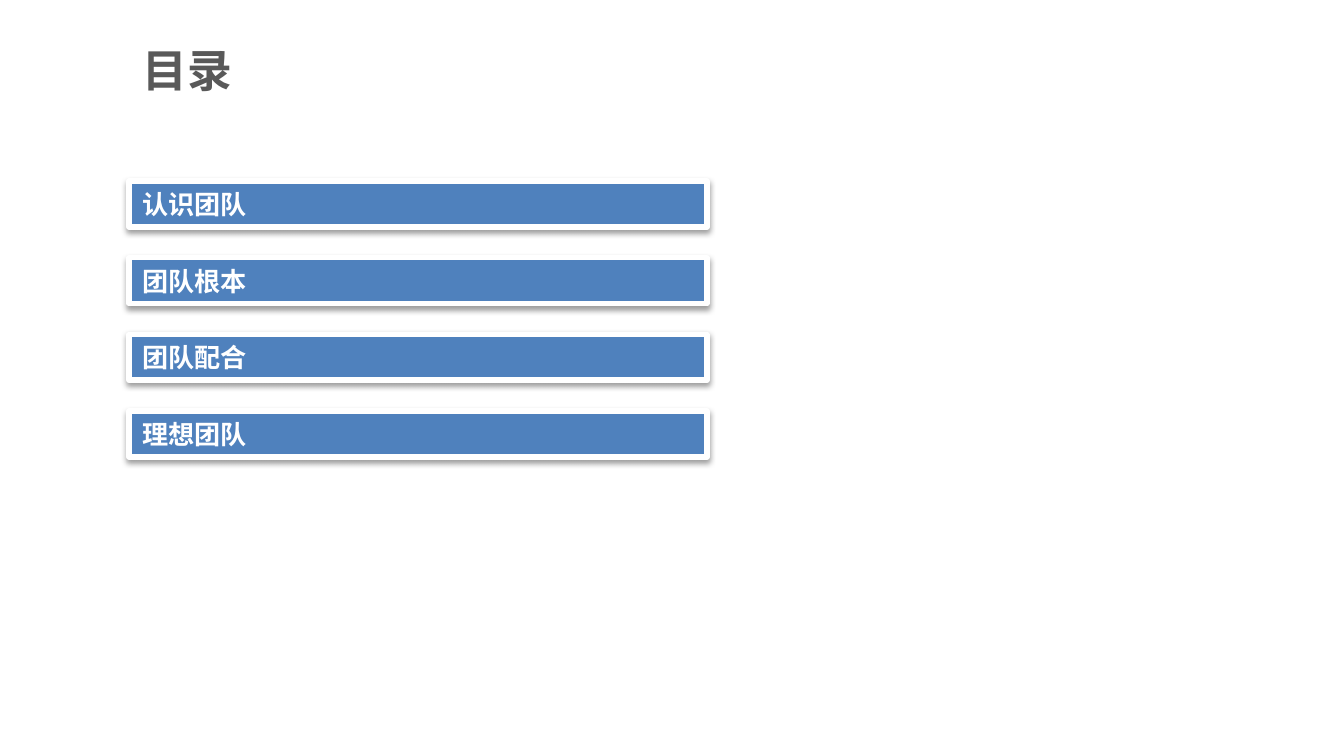
from dataclasses import dataclass

from lxml import etree
from pptx import Presentation
from pptx import util as u
from pptx.dml.color import RGBColor
from pptx.enum import shapes, text
from pptx.oxml.ns import qn

# Content
TITLE = "目录"
CHAPTERS = ["认识团队", "团队根本", "团队配合", "理想团队"]


@dataclass(frozen=True)
class Theme:
    font: str = "Noto Sans CJK SC"
    title_color: str = "595959"
    bar_fill: str = "4F81BD"
    white: str = "FFFFFF"
    shadow: str = "000000"
    title_size: int = 24
    bar_size: int = 14
    border: int = 3


THEME = Theme()

# Layout in px
EMU_PER_PX = u.Inches(1) / 134.4
SLIDE_WIDTH, SLIDE_HEIGHT = 1344, 756
LEFT, WIDTH = 129, 578
TITLE_TOP, TITLE_HEIGHT = 36, 67
FIRST_BAR, LAST_BAR, BAR_HEIGHT = 181, 411, 46


def px(length):
    return u.Emu(round(length * EMU_PER_PX))


def write(shape, words, size, color):
    frame = shape.text_frame
    frame.word_wrap = True
    frame.auto_size = text.MSO_AUTO_SIZE.NONE
    frame.vertical_anchor = text.MSO_ANCHOR.MIDDLE
    paragraph = frame.paragraphs[0]
    paragraph.alignment = text.PP_ALIGN.LEFT
    run = paragraph.add_run()
    run.text = words
    run.font.size = u.Pt(size)
    run.font.bold = True
    run.font.color.rgb = RGBColor.from_string(color)
    run.font.name = THEME.font
    east_asian = etree.SubElement(run.font._element, qn("a:ea"))
    east_asian.set("typeface", THEME.font)


def add_shadow(shape):
    shape.shadow.inherit = False
    effects = shape._element.spPr.find(qn("a:effectLst"))
    outer = etree.SubElement(
        effects, qn("a:outerShdw"), blurRad=str(u.Pt(3.1)),
        dist=str(u.Pt(1.6)), dir="5400000", rotWithShape="0")
    color = etree.SubElement(outer, qn("a:srgbClr"), val=THEME.shadow)
    etree.SubElement(color, qn("a:alpha"), val="38000")


def add_bar(slide, top, words):
    bar = slide.shapes.add_shape(
        shapes.MSO_SHAPE.RECTANGLE, px(LEFT), px(top), px(WIDTH), px(BAR_HEIGHT))
    bar.fill.solid()
    bar.fill.fore_color.rgb = RGBColor.from_string(THEME.bar_fill)
    bar.line.color.rgb = RGBColor.from_string(THEME.white)
    bar.line.width = u.Pt(THEME.border)
    add_shadow(bar)
    write(bar, words, THEME.bar_size, THEME.white)


def main():
    presentation = Presentation()
    presentation.slide_width = px(SLIDE_WIDTH)
    presentation.slide_height = px(SLIDE_HEIGHT)
    slide = presentation.slides.add_slide(presentation.slide_layouts[5])

    # Title
    title = slide.shapes.title
    title.left, title.top = px(LEFT), px(TITLE_TOP)
    title.width, title.height = px(WIDTH), px(TITLE_HEIGHT)
    write(title, TITLE, THEME.title_size, THEME.title_color)

    # Evenly spaced chapter bars
    step = (LAST_BAR - FIRST_BAR) / (len(CHAPTERS) - 1)
    for index, chapter in enumerate(CHAPTERS):
        add_bar(slide, FIRST_BAR + index * step, chapter)

    presentation.save("out.pptx")


if __name__ == "__main__":
    main()
